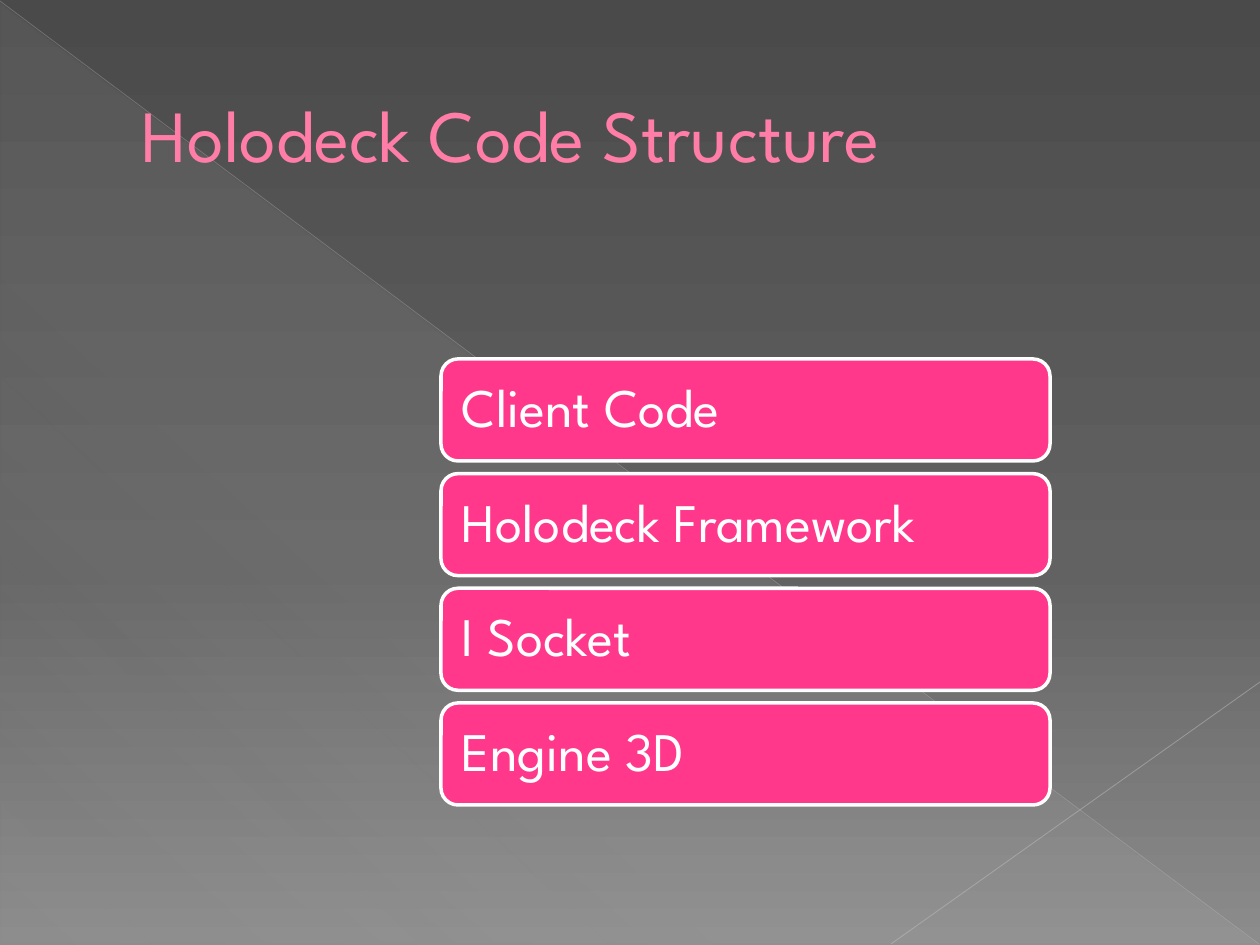
from lxml import etree
from pptx import Presentation
from pptx.dml.color import RGBColor
from pptx.enum.shapes import MSO_CONNECTOR, MSO_SHAPE
from pptx.enum.text import MSO_ANCHOR, PP_ALIGN
from pptx.oxml.ns import qn
from pptx.util import Emu, Pt

STRAIGHT = MSO_CONNECTOR.STRAIGHT
RIGHT_TRIANGLE = MSO_SHAPE.RIGHT_TRIANGLE
ROUNDED = MSO_SHAPE.ROUNDED_RECTANGLE
MIDDLE = MSO_ANCHOR.MIDDLE
LEFT = PP_ALIGN.LEFT

# Content
TITLE = "Holodeck Code Structure"
LAYERS = ["Client Code", "Holodeck Framework", "I Socket", "Engine 3D"]

# Style: gradient stops are (position %, colour, opacity %)
FONT = "League Spartan"
BACKGROUND_STOPS = [(0, "4A4A4A", 100), (60, "626262", 100), (100, "8C8C8C", 100)]
TRIANGLE_STOPS = [(0, "D2D2D2", 10), (70, "D2D2D2", 8), (100, "D2D2D2", 1)]
# Start, end, colour, width in points, opacity %
DIAGONALS = [
    ((0, 1), (1259, 944), "BFBFBF", 0.39, 35),
    ((1260, 682), (891, 944), "C6C6C6", 0.47, 45),
]

# Layout in px
SLIDE_SIZE = (1260, 945)
TITLE_BOX = (63, 37, 1134, 193)
TITLE_INSET = 79
LAYER_LEFT, LAYER_WIDTH, LAYER_HEIGHT = 441, 609, 102
FIRST_TOP, LAST_TOP = 359, 703
LAYER_INSET = 16


def px(value):
    return Emu(round(value * 914400 / 126))


def rgb(value):
    return RGBColor.from_string(value)


def add_alpha(color_element, opacity):
    etree.SubElement(color_element, qn("a:alpha"), val=str(opacity * 1000))


def set_gradient(properties, stops, angle):
    """Put a linear gradient in place of the solid fill."""
    gradient = etree.Element(qn("a:gradFill"), rotWithShape="1")
    stop_list = etree.SubElement(gradient, qn("a:gsLst"))
    for position, color, opacity in stops:
        stop = etree.SubElement(stop_list, qn("a:gs"), pos=str(position * 1000))
        color_element = etree.SubElement(stop, qn("a:srgbClr"), val=color)
        if opacity < 100:
            add_alpha(color_element, opacity)
    etree.SubElement(gradient, qn("a:lin"), ang=str(angle * 60000), scaled="0")
    properties.replace(properties.find(qn("a:solidFill")), gradient)


def set_text(shape, text, size, color, inset):
    frame = shape.text_frame
    frame.word_wrap = True
    frame.vertical_anchor = MIDDLE
    frame.margin_left = px(inset)
    frame.text = text
    paragraph = frame.paragraphs[0]
    paragraph.alignment = LEFT
    paragraph.font.name = FONT
    paragraph.font.size = Pt(size)
    paragraph.font.color.rgb = rgb(color)
    return paragraph


presentation = Presentation()
presentation.slide_width, presentation.slide_height = map(px, SLIDE_SIZE)
slide = presentation.slides.add_slide(presentation.slide_layouts[6])

# Background
slide.background.fill.solid()
background = slide.background.fill
background.fore_color.rgb = rgb(BACKGROUND_STOPS[0][1])
set_gradient(slide.element.cSld.find(qn("p:bg")).find(qn("p:bgPr")),
             BACKGROUND_STOPS, 90)

# Pale triangle
triangle = slide.shapes.add_shape(RIGHT_TRIANGLE, *map(px, (1, 3, 1258, 942)))
triangle.shadow.inherit = False
triangle.line.fill.background()
triangle.fill.solid()
triangle.fill.fore_color.rgb = rgb(TRIANGLE_STOPS[0][1])
set_gradient(triangle.element.spPr, TRIANGLE_STOPS, 133)

# Diagonal lines
for start, end, color, width, opacity in DIAGONALS:
    diagonal = slide.shapes.add_connector(STRAIGHT, *map(px, start + end))
    diagonal.line.width = Pt(width)
    diagonal.line.color.rgb = rgb(color)
    properties = diagonal.element.spPr
    add_alpha(next(properties.iter(qn("a:srgbClr"))), opacity)
    etree.SubElement(properties, qn("a:effectLst"))

# Title
title = slide.shapes.add_textbox(*map(px, TITLE_BOX))
set_text(title, TITLE, 42, "FF7DA7", TITLE_INSET)

# Stack of code layers
pitch = (LAST_TOP - FIRST_TOP) / (len(LAYERS) - 1)
for index, name in enumerate(LAYERS):
    top = FIRST_TOP + index * pitch
    layer = slide.shapes.add_shape(
        ROUNDED, *map(px, (LAYER_LEFT, top, LAYER_WIDTH, LAYER_HEIGHT)))
    layer.shadow.inherit = False
    layer.fill.solid()
    layer.fill.fore_color.rgb = rgb("FF388C")
    layer.line.color.rgb = rgb("FFFFFF")
    layer.line.width = Pt(2)
    paragraph = set_text(layer, name, 31, "FFFFFF", LAYER_INSET)
    paragraph.line_spacing = 0.9

presentation.save("out.pptx")
